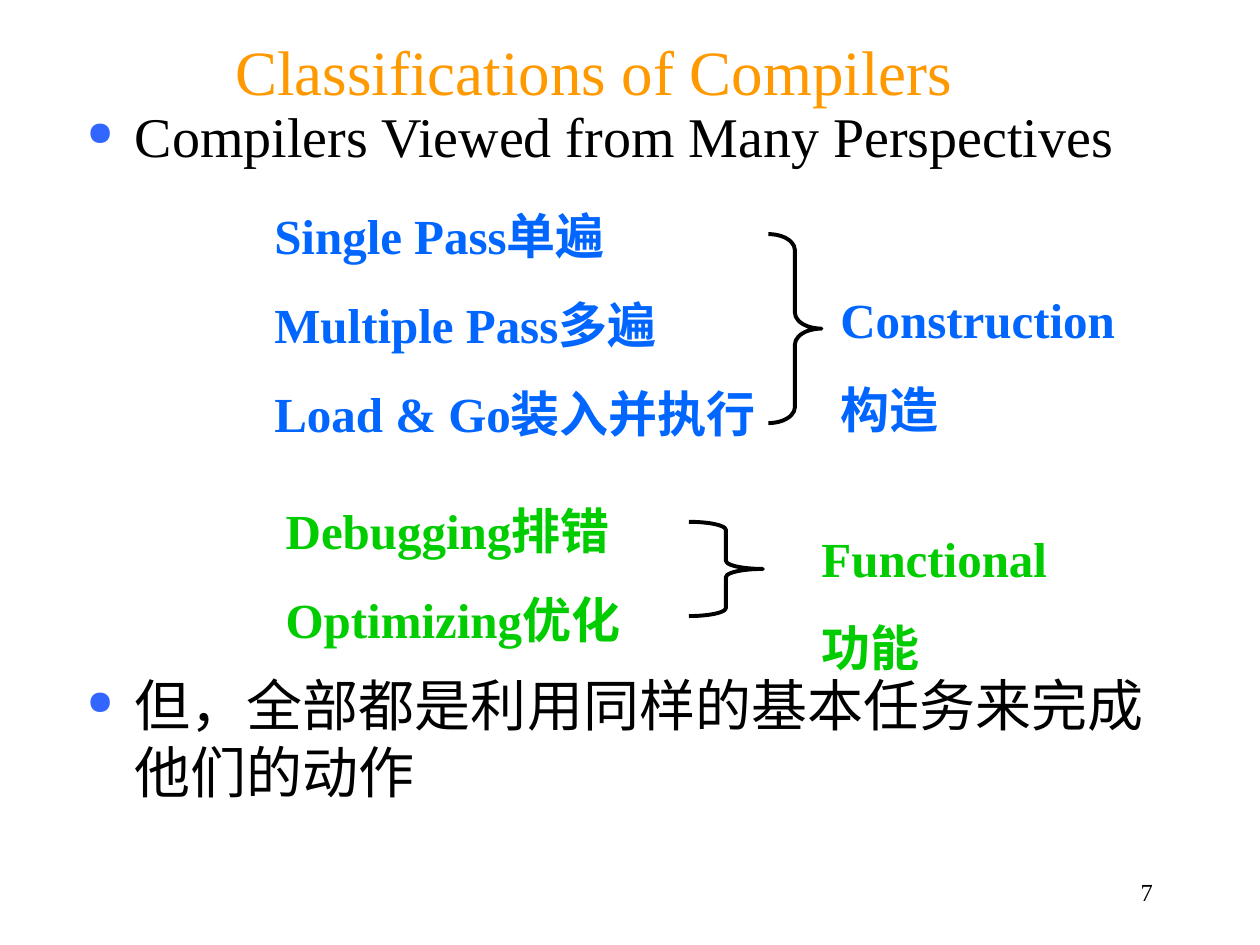
from lxml import etree
from pptx import Presentation
from pptx import util as u
from pptx.dml import color
from pptx.enum import shapes, text
from pptx.oxml import ns

BLACK = color.RGBColor(0x00, 0x00, 0x00)
ORANGE = color.RGBColor(0xFF, 0x99, 0x00)
BLUE = color.RGBColor(0x00, 0x66, 0xFF)
GREEN = color.RGBColor(0x00, 0xCC, 0x00)
BULLET_BLUE = color.RGBColor(0x33, 0x66, 0xFF)


def write_text(page, lines, place, size, ink=BLACK, bold=False, gap=0,
               align=text.PP_ALIGN.LEFT, anchor=text.MSO_ANCHOR.TOP, bullet=None):
    box = page.shapes.add_textbox(*[u.Cm(length) for length in place])
    frame = box.text_frame
    frame.word_wrap = True
    frame.vertical_anchor = anchor
    for index, line in enumerate(lines):
        para = frame.add_paragraph() if index else frame.paragraphs[0]
        para.alignment = align
        if index:
            para.space_before = u.Pt(gap)
        if bullet:
            props = para._p.get_or_add_pPr()
            props.set("marL", str(u.Cm(0.97)))
            props.set("indent", str(u.Cm(-0.97)))
            tint = etree.SubElement(props, ns.qn("a:buClr"))
            etree.SubElement(tint, ns.qn("a:srgbClr"), val=str(BULLET_BLUE))
            etree.SubElement(props, ns.qn("a:buSzPct"), val="60000")
            etree.SubElement(props, ns.qn("a:buChar"), char=bullet)
        span = para.add_run()
        span.text = line
        span.font.name = "Times New Roman"
        span.font.size = u.Pt(size)
        span.font.bold = bold
        span.font.color.rgb = ink


deck = Presentation()
deck.slide_width = u.Cm(25.4)
deck.slide_height = u.Cm(19.05)
page = deck.slides.add_slide(deck.slide_layouts[6])

write_text(page, ["Classifications of Compilers"], (4.5, 0.53, 15.5, 1.78), 36, ink=ORANGE)
write_text(page, ["Compilers Viewed from Many Perspectives",
                  "但，全部都是利用同样的基本任务来完成他们的动作"],
           (1.5, 1.93, 22.4, 15.39), 32, gap=286.5, bullet="●")

groups = [
    (BLUE,
     ["Single Pass单遍", "Multiple Pass多遍", "Load & Go装入并执行"], (5.28, 4.01, 14.17, 5.05),
     ["Construction", "构造"], (16.69, 5.72, 6.99, 3.25),
     (15.49, 4.72, 1.07, 3.81), 0.3),
    (GREEN,
     ["Debugging排错", "Optimizing优化"], (5.51, 9.96, 13.97, 3.25),
     ["Functional", "功能"], (16.31, 10.52, 5.51, 3.25),
     (13.89, 10.52, 1.49, 1.9), 0.11),
]
for ink, kinds, kinds_place, label, label_place, brace_place, curve in groups:
    for lines, place in ((kinds, kinds_place), (label, label_place)):
        write_text(page, lines, place, 28, ink=ink, bold=True, gap=17.5)
    brace = page.shapes.add_shape(shapes.MSO_SHAPE.RIGHT_BRACE,
                                  *[u.Cm(length) for length in brace_place])
    brace.adjustments[0] = curve
    brace.shadow.inherit = False
    brace.fill.background()
    brace.line.color.rgb = BLACK
    brace.line.width = u.Pt(2.25)

write_text(page, ["7"], (18.21, 17.35, 5.28, 1.27), 14,
           align=text.PP_ALIGN.RIGHT, anchor=text.MSO_ANCHOR.MIDDLE)

deck.save("out.pptx")
